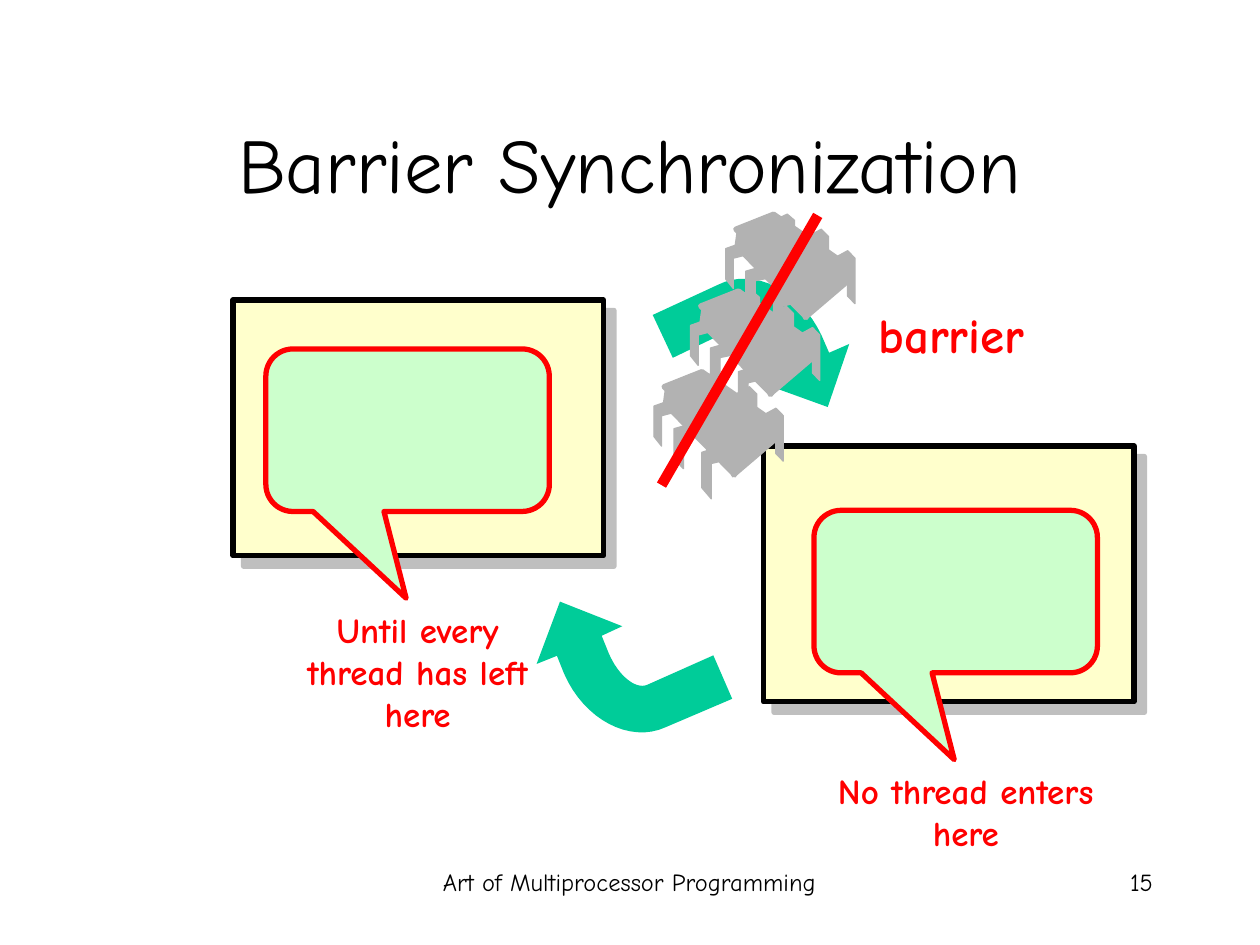
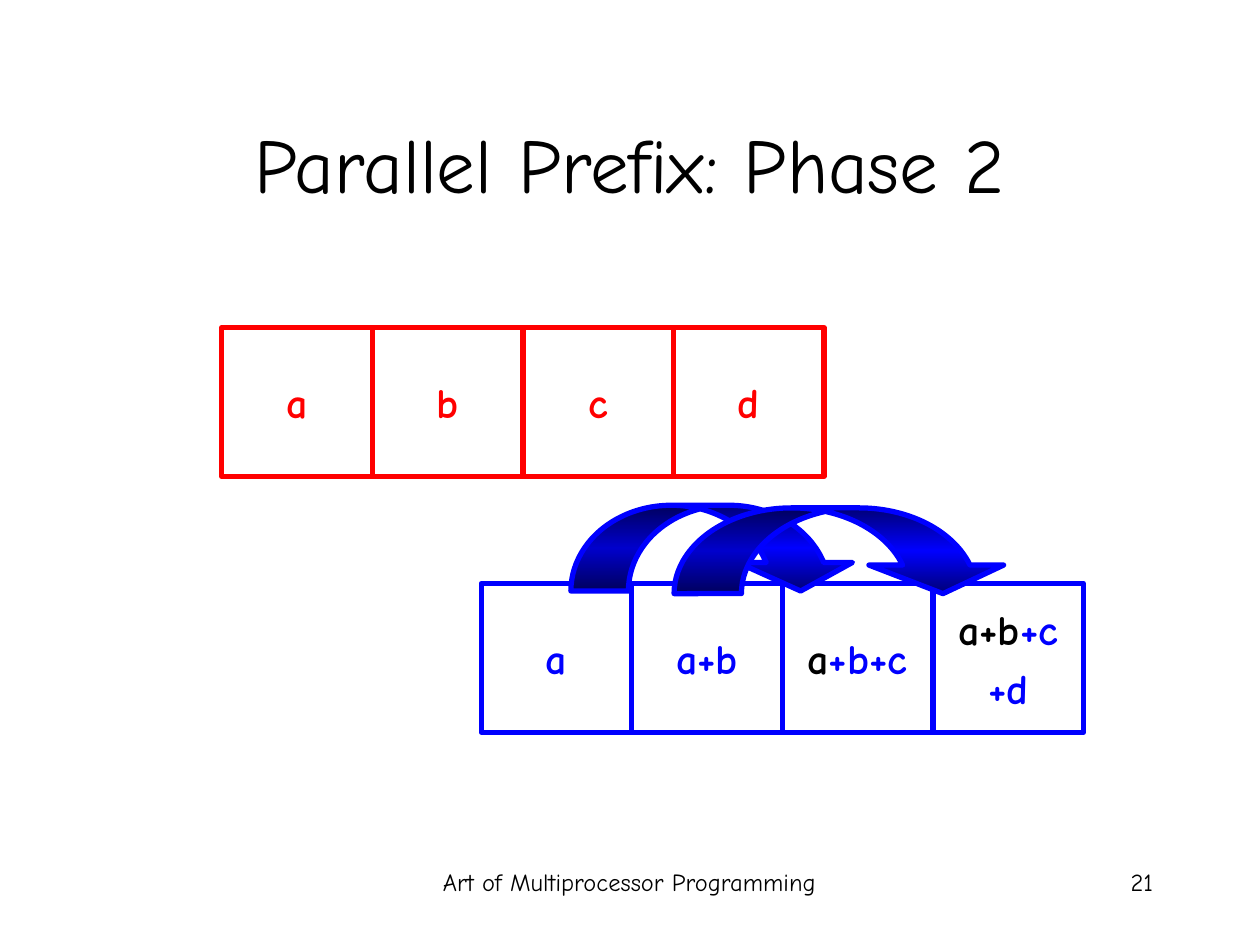
import copy
import math

from lxml import etree
from pptx import Presentation
from pptx.dml.color import RGBColor
from pptx.enum import shapes as es, text as et
from pptx.oxml import ns
from pptx.util import Pt

FONT = "Comic Neue"
BLACK = RGBColor(0, 0, 0)
RED = RGBColor(0xFF, 0, 0)
BLUE = RGBColor(0, 0, 0xFF)
NAVY = RGBColor(0, 0, 0x76)
CREAM = RGBColor(0xFF, 0xFF, 0xCC)
MINT = RGBColor(0xCC, 0xFF, 0xCC)
TEAL = RGBColor(0, 0xCC, 0x99)
GRAY = RGBColor(0xB2, 0xB2, 0xB2)
SHADE = RGBColor(0x80, 0x80, 0x80)

LEFT, MID, RIGHT = et.PP_ALIGN.LEFT, et.PP_ALIGN.CENTER, et.PP_ALIGN.RIGHT
SHAPE = es.MSO_SHAPE

BACK_LEG = [(0, 0.14), (0.65, 0), (1, 0.14), (1, 1), (0.65, 0.86), (0.65, 0.29), (0, 0.43)]
FRONT_LEG = [(0.56, 0), (1, 0.22), (0.28, 0.33), (0.28, 1), (0, 0.79), (0, 0.12)]
BACK = [(61.9, 20.9, 12, 30.2), (46.8, 8.6, 12, 30.2), (27.4, 0, 12, 25.9)]
FRONT = [(27.4, 42.5, 19.4, 30.2), (11.5, 29.5, 19.4, 25.9), (0, 16.6, 15.5, 25.9)]
BODY = [
    [(27.4, 0), (69.8, 29.5), (46.1, 47.5), (5.8, 8.6)],
    [(7.9, 8.6), (46.8, 46.8), (46.1, 59), (6.5, 18.7)],
    [(69.8, 29.5), (69.8, 38.2), (45.4, 59), (46.8, 46.1)],
]


def style(para, size, color, bold=False, align=MID):
    para.alignment = align
    for run in para.runs:
        font = run.font
        font.name, font.size, font.bold = FONT, Pt(size), bold
        font.color.rgb = color


def label(slide, box, words, size, color=BLACK, bold=False, align=MID,
          anchor=et.MSO_ANCHOR.TOP, wrap=True):
    frame = slide.shapes.add_textbox(*map(Pt, box)).text_frame
    frame.word_wrap = wrap
    frame.vertical_anchor = anchor
    frame.text = words
    style(frame.paragraphs[0], size, color, bold, align)


def paint(shape, fill, line=None, width=3):
    shape.shadow.inherit = False
    if fill is None:
        shape.fill.background()
    else:
        shape.fill.solid()
        shape.fill.fore_color.rgb = fill
    if line is None:
        shape.line.fill.background()
    else:
        shape.line.color.rgb = line
        shape.line.width = Pt(width)


def preset(slide, kind, box, fill, line):
    shape = slide.shapes.add_shape(kind, *map(Pt, box))
    paint(shape, fill, line)
    return shape


def outline(shapes, points, fill, line=None, width=3):
    start, *rest = [(Pt(x), Pt(y)) for x, y in points]
    pen = shapes.build_freeform(*start)
    pen.add_line_segments(rest, close=True)
    paint(pen.convert_to_shape(), fill, line, width)


def curve(p, q, r, s, steps=16):
    for i in range(1, steps + 1):
        t = i / steps
        ways = (1 - t) ** 3, 3 * t * (1 - t) ** 2, 3 * t * t * (1 - t), t ** 3
        yield tuple(sum(w * pt[k] for w, pt in zip(ways, (p, q, r, s))) for k in (0, 1))


def arrow(slide, x, y, turn):
    points = [
        (37.8, 32.4), (50.1, -3.6), (38.6, 1.4), (34.2, -8.7),
        *curve((34.2, -8.7), (22, -34.6), (-4.6, -47.6), (-24.8, -37.5)),
        (-62.2, -20.2), (-50.7, 4.3), (-13.3, -13.7),
        *curve((-13.3, -13.7), (-6.8, -16.6), (3.3, -8.7), (9, 3.6)),
        (13.4, 13.6), (1.8, 19.4),
    ]
    cos, sin = math.cos(math.radians(turn)), math.sin(math.radians(turn))
    outline(slide.shapes, [(x + a * cos - b * sin, y + a * sin + b * cos)
                           for a, b in points], TEAL)


def spider(slide, x, y):
    group = slide.shapes.add_group_shape().shapes

    def legs(form, boxes):
        for left, top, wide, high in boxes:
            outline(group, [(x + left + a * wide, y + top + b * high) for a, b in form],
                    GRAY, GRAY, 0.75)

    legs(BACK_LEG, BACK)
    for side in BODY:
        outline(group, [(x + a, y + b) for a, b in side], GRAY, GRAY)
    legs(FRONT_LEG, FRONT)


def panel(slide, x, y):
    shape = preset(slide, SHAPE.RECTANGLE, (x, y, 211.7, 146.2), CREAM, BLACK)
    effect = shape._element.spPr.find(ns.qn("a:effectLst"))
    drop = etree.SubElement(effect, ns.qn("a:outerShdw"), blurRad="0",
                            dist=str(Pt(8.5)), dir="2700000", algn="ctr", rotWithShape="0")
    tone = etree.SubElement(drop, ns.qn("a:srgbClr"), val=str(SHADE))
    etree.SubElement(tone, ns.qn("a:alpha"), val="50000")


def callout(slide, x, y, words, high):
    shape = preset(slide, SHAPE.ROUNDED_RECTANGULAR_CALLOUT, (x, y, 162, 92.9), MINT, RED)
    for i, value in enumerate((-0.005, 1.034, 0.167)):
        shape.adjustments[i] = value
    label(slide, (x + 6.5, y + 144.7, 160.6, high), words, 20, RED, True)


def strike(slide, *ends):
    line = slide.shapes.add_connector(es.MSO_CONNECTOR.STRAIGHT, *map(Pt, ends))
    line.line.color.rgb = RED
    line.line.width = Pt(6)
    etree.SubElement(line._element.spPr, ns.qn("a:effectLst"))


def row(slide, x, y, color, cells):
    for i, (old, new, more) in enumerate(cells):
        shape = preset(slide, SHAPE.RECTANGLE, (x + 86.05 * i, y, 86, 85), None, color)
        frame = shape.text_frame
        frame.word_wrap = False
        frame.vertical_anchor = et.MSO_ANCHOR.MIDDLE
        para = frame.paragraphs[0]
        para.text = old or new
        if old:
            para.add_run().text = new
        style(para, 24, color, True)
        if old:
            para.runs[0].font.color.rgb = BLACK
        if more:
            para = frame.add_paragraph()
            para.text = more
            para.space_before = Pt(5)
            style(para, 24, color, True)


def hop(slide, box, shape_of):
    shape = preset(slide, SHAPE.CURVED_DOWN_ARROW, box, BLUE, BLUE)
    for i, value in enumerate(shape_of):
        shape.adjustments[i] = value
    fill = shape.fill
    fill.gradient()
    fill.gradient_angle = 270
    first = fill.gradient_stops[0]._gs
    first.addnext(copy.deepcopy(first))
    for stop, spot, color in zip(fill.gradient_stops, (0, 0.5, 1), (NAVY, BLUE, NAVY)):
        stop.position = spot
        stop.color.rgb = color


def page(deck, title, number):
    slide = deck.slides.add_slide(deck.slide_layouts[6])
    label(slide, (246, 492, 228, 36), "Art of Multiprocessor Programming", 14, align=LEFT)
    label(slide, (516, 492, 150, 36), number, 14, align=RIGHT)
    label(slide, (54, 48, 612, 90), title, 44, anchor=et.MSO_ANCHOR.MIDDLE)
    return slide


def barrier(deck):
    slide = page(deck, "Barrier Synchronization", "15")
    panel(slide, 133.2, 171.4)
    panel(slide, 436.3, 254.9)
    arrow(slide, 435.2, 200.2, 0)
    arrow(slide, 356.8, 377.3, 181.7)
    for x, y in ((373.7, 212.4), (414.7, 122.4), (394.6, 166.3)):
        spider(slide, x, y)
    strike(slide, 378, 277.2, 467.3, 123.1)
    label(slide, (488.2, 170.6, 110.9, 41), "barrier", 28, RED, True, wrap=False)
    callout(slide, 465.1, 291.6, "No thread enters here", 55.4)
    callout(slide, 151.9, 199.4, "Until every thread has left here", 79.2)


def prefix(deck):
    slide = page(deck, "Parallel Prefix: Phase 2", "21")
    row(slide, 126.8, 187.2, RED, [("", name, "") for name in "abcd"])
    row(slide, 275, 333.4, BLUE, [("", "a", ""), ("", "a+b", ""),
                                  ("a", "+b+c", ""), ("a+b", "+c", "+d")])
    hop(slide, (326.2, 288.7, 164.2, 49), (0.671, 1.342, 0.333))
    hop(slide, (385.2, 290.2, 192.2, 49), (0.786, 1.571, 0.333))


def main():
    deck = Presentation()
    deck.slide_width, deck.slide_height = Pt(720), Pt(540)
    barrier(deck)
    prefix(deck)
    deck.save("out.pptx")


if __name__ == "__main__":
    main()
